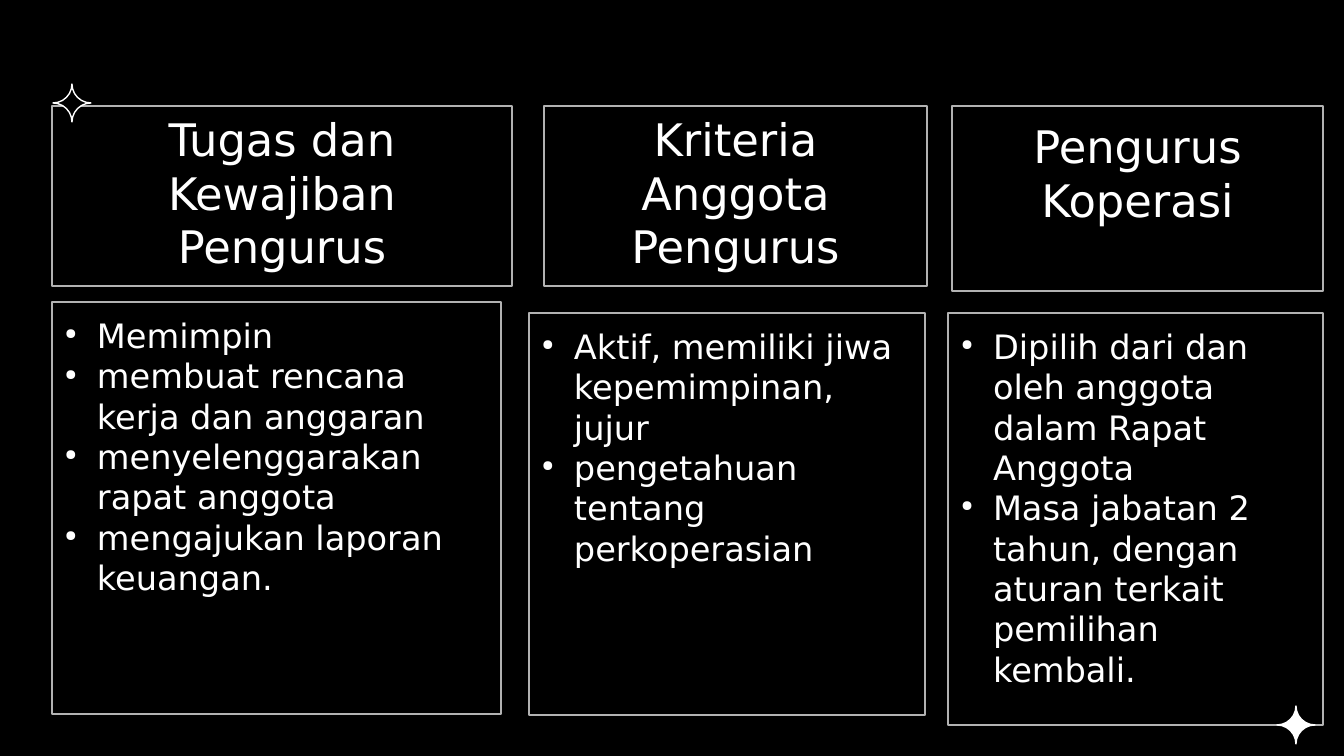
from lxml import etree
from pptx import Presentation
from pptx.dml.color import RGBColor
from pptx.enum.shapes import MSO_SHAPE
from pptx.enum.text import MSO_ANCHOR, PP_ALIGN
from pptx.oxml.ns import qn
from pptx.util import Pt

RECT, STAR = MSO_SHAPE.RECTANGLE, MSO_SHAPE.PLAQUE
TOP, BOTTOM = MSO_ANCHOR.TOP, MSO_ANCHOR.BOTTOM
LEFT, CENTER = PP_ALIGN.LEFT, PP_ALIGN.CENTER
BLACK = RGBColor(0x00, 0x00, 0x00)
WHITE = RGBColor(0xFF, 0xFF, 0xFF)
GREY = RGBColor(0xB2, 0xB2, 0xB2)
FONT = "DejaVu Sans"
EMU_PER_PX = 914400 / 134.4
INSET, INDENT, STAR_SIZE = 13, 32, 38

COLUMNS = [
    {"title": "Tugas dan Kewajiban Pengurus", "title_box": (52, 106, 460, 180), "anchor": BOTTOM,
     "body_box": (52, 302, 449, 412),
     "items": ["Memimpin", "membuat rencana kerja dan anggaran",
               "menyelenggarakan rapat anggota", "mengajukan laporan keuangan."]},
    {"title": "Kriteria Anggota Pengurus", "title_box": (544, 106, 383, 180), "anchor": BOTTOM,
     "body_box": (529, 313, 396, 402),
     "items": ["Aktif, memiliki jiwa kepemimpinan, jujur",
               "pengetahuan tentang perkoperasian"]},
    {"title": "Pengurus Koperasi", "title_box": (952, 106, 371, 185), "anchor": TOP,
     "body_box": (948, 313, 375, 412),
     "items": ["Dipilih dari dan oleh anggota dalam Rapat Anggota",
               "Masa jabatan 2 tahun, dengan aturan terkait pemilihan kembali."]},
]
STARS = [(53, 84, BLACK), (1277, 706, WHITE)]


def px(n):
    return round(n * EMU_PER_PX)


def add_bullet(p):
    pPr = p._p.get_or_add_pPr()
    pPr.set("marL", str(px(INDENT)))
    pPr.set("indent", str(-px(INDENT)))
    color = etree.SubElement(pPr, qn("a:buClr"))
    etree.SubElement(color, qn("a:srgbClr"), val=str(WHITE))
    etree.SubElement(pPr, qn("a:buSzPct"), val="45000")
    etree.SubElement(pPr, qn("a:buChar"), char="●")


def add_box(slide, box, texts, size, align, anchor, bulleted):
    sp = slide.shapes.add_shape(RECT, *map(px, box))
    sp.shadow.inherit = False
    sp.fill.background()
    sp.line.color.rgb = GREY
    sp.line.width = 0
    tf = sp.text_frame
    tf.word_wrap = True
    tf.vertical_anchor = anchor
    tf.margin_left = tf.margin_right = tf.margin_top = tf.margin_bottom = px(INSET)
    for i, text in enumerate(texts):
        p = tf.add_paragraph() if i else tf.paragraphs[0]
        p.alignment = align
        if bulleted:
            add_bullet(p)
        r = p.add_run()
        r.text = text
        r.font.name = FONT
        r.font.size = Pt(size)
        r.font.color.rgb = WHITE


def add_star(slide, x, y, fill):
    sp = slide.shapes.add_shape(STAR, *map(px, (x, y, STAR_SIZE, STAR_SIZE)))
    sp.adjustments[0] = 0.5
    sp.shadow.inherit = False
    sp.fill.solid()
    sp.fill.fore_color.rgb = fill
    sp.line.color.rgb = WHITE
    sp.line.width = Pt(0.75)


prs = Presentation()
prs.slide_width, prs.slide_height = px(1344), px(756)
slide = prs.slides.add_slide(prs.slide_layouts[6])
slide.background.fill.solid()
slide.background.fill.fore_color.rgb = BLACK

for column in COLUMNS:
    add_box(slide, column["body_box"], column["items"], 18, LEFT, TOP, True)
    add_box(slide, column["title_box"], [column["title"]], 24, CENTER, column["anchor"], False)
for x, y, fill in STARS:
    add_star(slide, x, y, fill)

prs.save("out.pptx")
